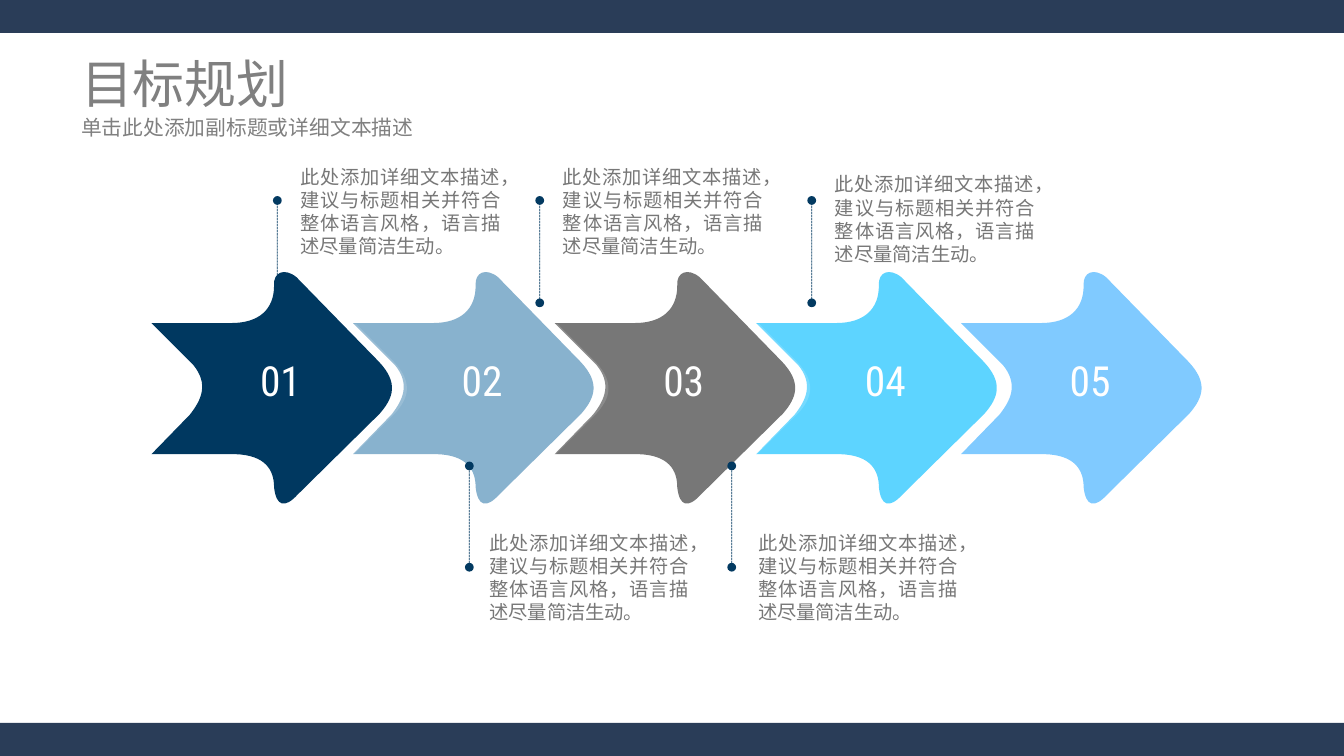
import pptx
import pptx.dml.color
import pptx.enum.dml
import pptx.enum.shapes
import pptx.enum.text
import pptx.oxml
import pptx.oxml.ns
import pptx.util
from pptx.util import Inches

RGBColor = pptx.dml.color.RGBColor
Align = pptx.enum.text.PP_ALIGN
Anchor = pptx.enum.text.MSO_ANCHOR
AutoSize = pptx.enum.text.MSO_AUTO_SIZE

NAVY = RGBColor(0x00, 0x38, 0x60)
BAR = RGBColor(0x2A, 0x3D, 0x58)
HEADING_GREY = RGBColor(0x80, 0x80, 0x80)
BODY_GREY = RGBColor(0x77, 0x77, 0x77)
WHITE = RGBColor(0xFF, 0xFF, 0xFF)
ARROW_COLORS = [NAVY, RGBColor(0x88, 0xB2, 0xCE), BODY_GREY,
                RGBColor(0x5D, 0xD4, 0xFF), RGBColor(0x80, 0xCA, 0xFF)]

CJK = "Noto Sans CJK SC"
DIGITS = "Roboto Condensed"
WIDTH, HEIGHT, BAR_HEIGHT = 12.6, 7.09, 0.31
ARROW_LEFT, ARROW_PITCH, LAST_ARROW_SHIFT = 1.42, 1.89, 0.03
DESCRIPTION = "此处添加详细文本描述，建议与标题相关并符合整体语言风格，语言描述尽量简洁生动。"

# Outlines: a row of one point is a corner, of three a Bezier curve
ARROW_BOX = (0, 2.55, 2.26, 2.17)
ARROW = [[(0, 3.03)], [(0.75, 3.03)],
         [(1.01, 3.03), (1.15, 2.9), (1.15, 2.68)],
         [(1.14, 2.55), (1.25, 2.51), (1.36, 2.6)], [(2.13, 3.39)],
         [(2.32, 3.59), (2.27, 3.73), (2.14, 3.88)], [(1.37, 4.64)],
         [(1.25, 4.77), (1.17, 4.75), (1.15, 4.57)],
         [(1.15, 4.41), (1.07, 4.27), (0.79, 4.26)], [(0, 4.26)],
         [(0.36, 3.89)], [(0.47, 3.75), (0.54, 3.6), (0.39, 3.42)],
         [(0, 3.03)]]
HALO_BOX = (0.14, 3.04, 2.26, 1.23)
HALO = [[(0.14, 3.04)], [(1.92, 3.04)], [(2.27, 3.39)],
        [(2.46, 3.59), (2.41, 3.74), (2.28, 3.88)], [(1.89, 4.27)],
        [(0.14, 4.27)], [(0.5, 3.89)],
        [(0.61, 3.75), (0.67, 3.6), (0.52, 3.43)], [(0.14, 3.04)]]

# Callouts: line x, line start, line end, text left, text top
CALLOUTS = [(2.6, 2.84, 1.88, 2.72, 1.5), (4.4, 5.32, 4.37, 4.49, 4.93),
            (5.06, 2.84, 1.88, 5.18, 1.5), (6.86, 5.32, 4.37, 7.01, 4.93),
            (7.61, 2.84, 1.88, 7.73, 1.57)]


def apply_format(target, values):
    for name, value in values.items():
        setattr(target, name, value)


def add_xml(parent, tag, **attributes):
    child = pptx.oxml.parse_xml(f"<a:{tag} {pptx.oxml.ns.nsdecls('a')}/>")
    for name, value in attributes.items():
        child.set(name, str(value))
    parent.append(child)
    return child


def add_alpha(properties, percent):
    color = properties.find(".//" + pptx.oxml.ns.qn("a:srgbClr"))
    add_xml(color, "alpha", val=percent * 1000)


def write_text(box, text, size, font, color, frame_format, para_format):
    frame = box.text_frame
    apply_format(frame, frame_format)
    para = frame.paragraphs[0]
    apply_format(para, para_format)
    span = para.add_run()
    span.text = text
    apply_format(span.font, {"size": pptx.util.Pt(size), "name": font})
    span.font.color.rgb = color
    add_xml(span.font._element, "ea", typeface=font)


def add_text(page, bounds, *content):
    box = page.shapes.add_textbox(*map(Inches, bounds))
    write_text(box, *content)


def paint(shape, color):
    shape.shadow.inherit = False
    shape.fill.solid()
    shape.fill.fore_color.rgb = color
    shape.line.fill.background()


def add_outline(page, outline, box, left, color):
    # Start from the bounding box, then give it the curved contour
    x, y, width, height = box
    builder = page.shapes.build_freeform(Inches(left + x), Inches(y), scale=1.0)
    builder.add_line_segments(
        [(Inches(left + x + dx), Inches(y + dy))
         for dx, dy in ((width, 0), (width, height), (0, height))])
    shape = builder.convert_to_shape()
    contour = shape._element.find(".//" + pptx.oxml.ns.qn("a:path"))
    for child in list(contour):
        contour.remove(child)
    for index, points in enumerate(outline):
        tag = "cubicBezTo" if len(points) == 3 else "lnTo" if index else "moveTo"
        segment = add_xml(contour, tag)
        for px, py in points:
            add_xml(segment, "pt", x=int(Inches(px - x)), y=int(Inches(py - y)))
    add_xml(contour, "close")
    paint(shape, color)
    return shape


def add_arrow(page, index):
    last = index == len(ARROW_COLORS) - 1
    left = ARROW_LEFT + index * ARROW_PITCH + (LAST_ARROW_SHIFT if last else 0)
    if not last:
        halo = add_outline(page, HALO, HALO_BOX, left, WHITE)
        add_alpha(halo._element.spPr, 15)
    add_outline(page, ARROW, ARROW_BOX, left, ARROW_COLORS[index])
    add_text(page, (left + 0.92, 3.28, 0.77, 0.71), f"{index + 1:02}",
             28, DIGITS, WHITE,
             {"word_wrap": False, "auto_size": AutoSize.SHAPE_TO_FIT_TEXT},
             {"alignment": Align.LEFT})


def add_callout(page, x, start, end, left, top):
    line = page.shapes.add_connector(
        pptx.enum.shapes.MSO_CONNECTOR.STRAIGHT,
        *map(Inches, (x, start, x, end)))
    line.line.color.rgb = NAVY
    apply_format(line.line, {
        "width": pptx.util.Pt(0.5),
        "dash_style": pptx.enum.dml.MSO_LINE.SQUARE_DOT})
    add_alpha(line.line._ln, 98)
    for tag in ("headEnd", "tailEnd"):
        add_xml(line.line._ln, tag, type="oval")
    add_xml(line._element.spPr, "effectLst")
    add_text(page, (left, top, 2.07, 0.98), DESCRIPTION, 13, CJK, BODY_GREY,
             {"word_wrap": True, "auto_size": AutoSize.SHAPE_TO_FIT_TEXT},
             {"alignment": Align.JUSTIFY})


def add_headings(page):
    insets = {"margin_left": Inches(0.13), "margin_right": Inches(0.13),
              "margin_top": Inches(0.06), "margin_bottom": Inches(0.06),
              "word_wrap": True, "auto_size": AutoSize.NONE}
    title = page.shapes.title
    apply_format(title, {"left": Inches(0.63), "top": Inches(0.52),
                         "width": Inches(11.34), "height": Inches(0.51)})
    write_text(title, "目标规划", 35, CJK, HEADING_GREY,
               {**insets, "vertical_anchor": Anchor.MIDDLE},
               {"alignment": Align.LEFT})
    add_text(page, (0.63, 1.02, 11.34, 0.42), "单击此处添加副标题或详细文本描述",
             14, CJK, HEADING_GREY, insets,
             {"alignment": Align.LEFT, "space_before": pptx.util.Pt(1)})


def add_bar(page, top):
    bar = page.shapes.add_shape(
        pptx.enum.shapes.MSO_SHAPE.RECTANGLE,
        *map(Inches, (0, top, WIDTH, BAR_HEIGHT)))
    paint(bar, BAR)


def main():
    deck = pptx.Presentation()
    apply_format(deck, {"slide_width": Inches(WIDTH),
                        "slide_height": Inches(HEIGHT)})
    page = deck.slides.add_slide(deck.slide_layouts[5])

    add_headings(page)

    # Arrows, right to left so that each overlaps the next
    for index in reversed(range(len(ARROW_COLORS))):
        add_arrow(page, index)

    for callout in CALLOUTS:
        add_callout(page, *callout)

    # Top and bottom bars
    for top in (0, HEIGHT - BAR_HEIGHT):
        add_bar(page, top)

    deck.save("out.pptx")


if __name__ == "__main__":
    main()
